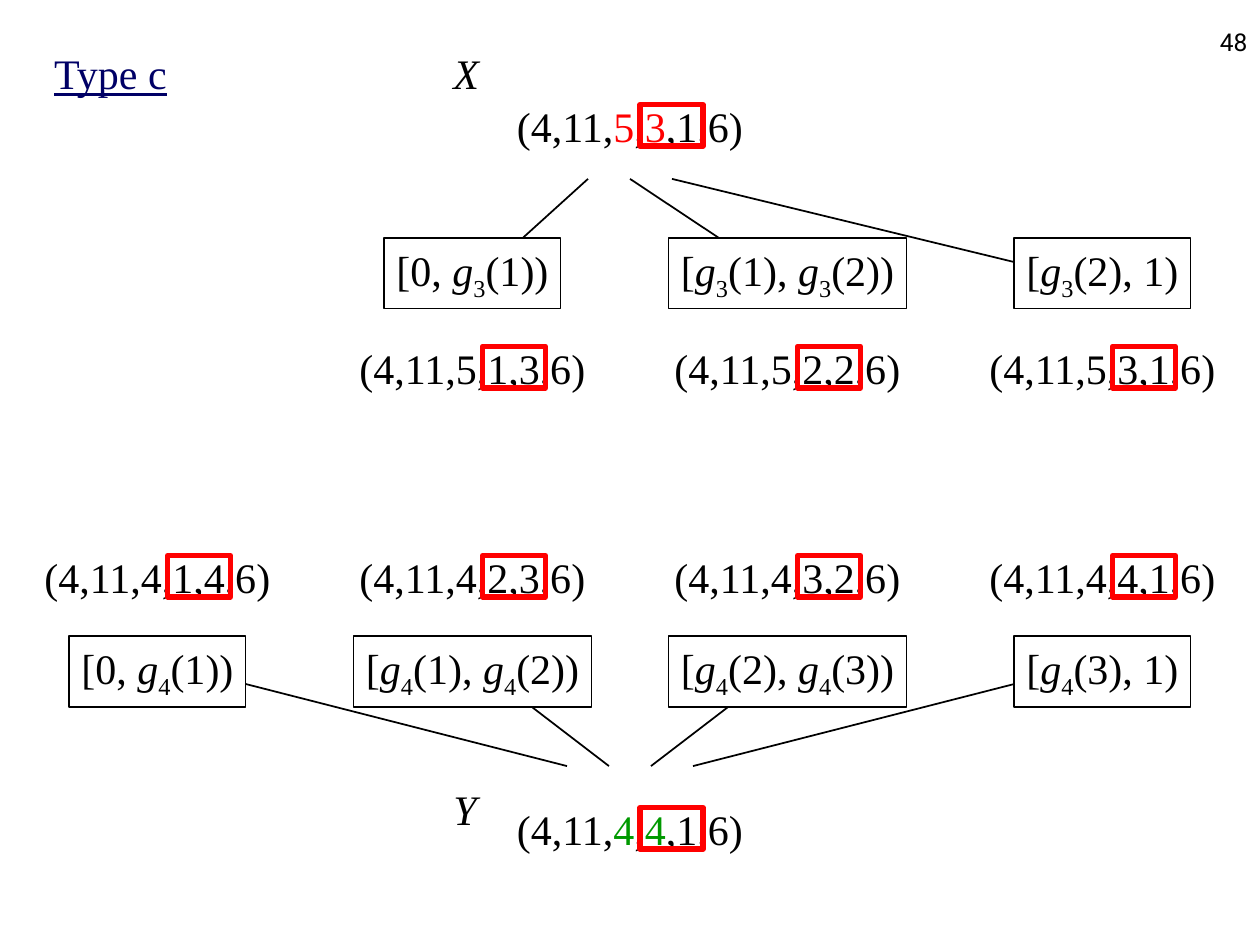
from pptx import Presentation
from pptx.dml.color import RGBColor
from pptx.enum.shapes import MSO_CONNECTOR, MSO_SHAPE
from pptx.enum.text import MSO_ANCHOR, MSO_AUTO_SIZE, PP_ALIGN
from pptx.oxml.ns import qn
from pptx.util import Inches, Pt
from lxml.etree import SubElement

THEME = dict(
    font="Times New Roman", num_font="Roboto", size=24, num_size=14,
    ink="000000", paper="FFFFFF", title="000066", red="FF0000", green="009900",
)
TITLE, PAGE = "Type c", "48"
COLS = [1.25, 3.75, 6.25, 8.75]
MID = 5
GAP = 1 / 3  # between the starts of the arrows

# Each fan: root name and place, root digits and their colour, index of g,
# then one (range, tuple) per branch; "g" in a range stands for g with its index.
FANS = [
    dict(name="X", name_at=(3.5, 0.33), root_y=0.75, digit="5", next="3",
         hue="red", index="3", start_y=1.42, end_y=2.25,
         range_y=1.89, tuple_y=2.67, cols=COLS[1:],
         parts=[("[0, g(1))", "(4,11,5,1,3,6)"),
                ("[g(1), g(2))", "(4,11,5,2,2,6)"),
                ("[g(2), 1)", "(4,11,5,3,1,6)")]),
    dict(name="Y", name_at=(3.5, 6.17), root_y=6.33, digit="4", next="4",
         hue="green", index="4", start_y=6.08, end_y=5.25,
         range_y=5.05, tuple_y=4.33, cols=COLS,
         parts=[("[0, g(1))", "(4,11,4,1,4,6)"),
                ("[g(1), g(2))", "(4,11,4,2,3,6)"),
                ("[g(2), g(3))", "(4,11,4,3,2,6)"),
                ("[g(3), 1)", "(4,11,4,4,1,6)")]),
]


def color(key):
    return RGBColor.from_string(THEME[key])


def write(shape, runs, align=PP_ALIGN.CENTER, anchor=MSO_ANCHOR.MIDDLE,
          font="font", size="size", wrap=False):
    """Fill a shape with (text, style) runs."""
    frame = shape.text_frame
    frame.word_wrap, frame.auto_size = wrap, MSO_AUTO_SIZE.NONE
    frame.vertical_anchor = anchor
    para = frame.paragraphs[0]
    para.alignment = align
    for text, style in runs:
        run = para.add_run()
        run.text = text
        run.font.name, run.font.size = THEME[font], Pt(THEME[size])
        run.font.color.rgb = color(style.get("hue", "ink"))
        run.font.italic = style.get("italic", False)
        run.font.underline = style.get("under", False)
        if style.get("sub"):
            run._r.get_or_add_rPr().set("baseline", "-25000")


def add_box(slide, x, y, w, h, line=None, width=1, fill="paper"):
    box = slide.shapes.add_shape(
        MSO_SHAPE.RECTANGLE, Inches(x), Inches(y), Inches(w), Inches(h))
    box.shadow.inherit = False
    if fill:
        box.fill.solid()
        box.fill.fore_color.rgb = color(fill)
    else:
        box.fill.background()
    if line:
        box.line.color.rgb, box.line.width = color(line), Pt(width)
    else:
        box.line.fill.background()
    return box


def add_arrow(slide, x1, y1, x2, y2):
    line = slide.shapes.add_connector(
        MSO_CONNECTOR.STRAIGHT, Inches(x1), Inches(y1), Inches(x2), Inches(y2))
    line.line.color.rgb, line.line.width = color("ink"), Pt(1)
    props = line._element.spPr
    SubElement(props.find(qn("a:ln")), qn("a:tailEnd"), type="triangle")
    SubElement(props, qn("a:effectLst"))


def add_text(slide, x, y, w, h, runs, **style):
    write(slide.shapes.add_textbox(
        Inches(x), Inches(y), Inches(w), Inches(h)), runs, **style)


def add_tuple(slide, mid, y, runs):
    """Add a tuple and the red frame round its fourth and fifth numbers."""
    write(add_box(slide, mid - 1, y, 2, 0.5), runs)
    add_box(slide, mid + 0.08, y + 0.08, 0.5, 0.33, "red", 3, None)


def range_runs(text, index):
    head, *rest = text.split("g")
    runs = [(head, {})]
    for part in rest:
        runs += [("g", dict(italic=True)), (index, dict(sub=True)), (part, {})]
    return runs


def draw_fan(slide, fan):
    add_text(slide, *fan["name_at"], 0.4, 0.5,
             [(fan["name"], dict(italic=True))],
             align=PP_ALIGN.LEFT, anchor=MSO_ANCHOR.TOP)
    first = MID - GAP * (len(fan["cols"]) - 1) / 2
    for i, mid in enumerate(fan["cols"]):
        add_arrow(slide, first + i * GAP, fan["start_y"], mid, fan["end_y"])
    hue = dict(hue=fan["hue"])
    add_tuple(slide, MID, fan["root_y"],
              [("(4,11,", {}), (fan["digit"], hue), (",", {}),
               (fan["next"], hue), (",1,6)", {})])
    for mid, (span, row) in zip(fan["cols"], fan["parts"]):
        add_tuple(slide, mid, fan["tuple_y"], [(row, {})])
        wide = 1.89 if span.count("g") == 2 else 1.4
        box = add_box(slide, mid - wide / 2, fan["range_y"], wide, 0.56, "ink")
        write(box, range_runs(span, fan["index"]))


def main():
    deck = Presentation()
    deck.slide_width, deck.slide_height = Inches(10), Inches(7.5)
    slide = deck.slides.add_slide(deck.slide_layouts[5])
    title = slide.shapes.title
    title.left, title.top = Inches(0.33), Inches(0.33)
    title.width, title.height = Inches(8.52), Inches(0.5)
    write(title, [(TITLE, dict(hue="title", under=True))],
          align=PP_ALIGN.LEFT, anchor=MSO_ANCHOR.BOTTOM, wrap=True)
    for fan in FANS:
        draw_fan(slide, fan)
    add_text(slide, 7.92, 0, 2.08, 0.5, [(PAGE, {})], align=PP_ALIGN.RIGHT,
             anchor=MSO_ANCHOR.BOTTOM, font="num_font", size="num_size",
             wrap=True)
    deck.save("out.pptx")


if __name__ == "__main__":
    main()
